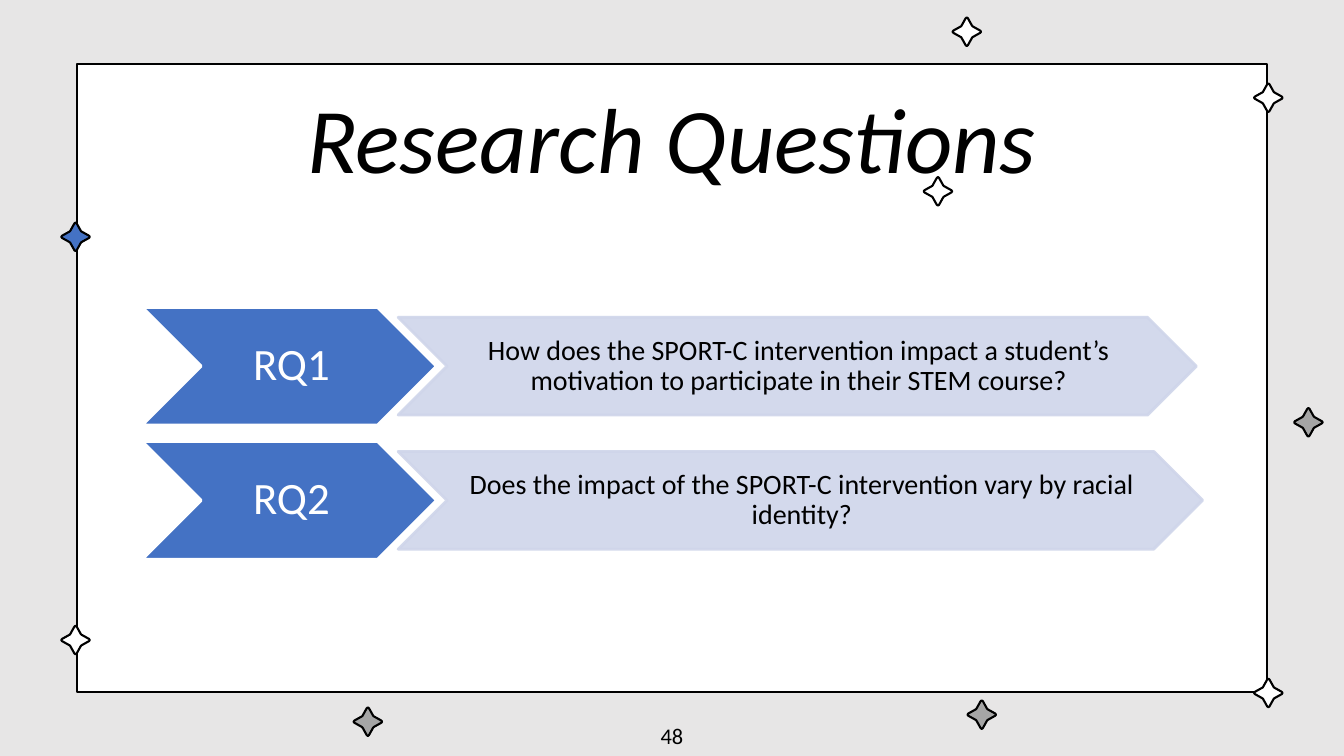
from lxml.etree import SubElement
from pptx import Presentation
from pptx.dml.color import RGBColor
from pptx.enum.shapes import MSO_SHAPE
from pptx.enum.text import MSO_ANCHOR, PP_ALIGN
from pptx.oxml.ns import qn
from pptx.util import Pt

BLACK = RGBColor(0x00, 0x00, 0x00)
WHITE = RGBColor(0xFF, 0xFF, 0xFF)
LIGHT_GREY = RGBColor(0xE7, 0xE6, 0xE6)
GREY = RGBColor(0xA5, 0xA5, 0xA5)
BLUE = RGBColor(0x44, 0x72, 0xC4)
PALE_BLUE = RGBColor(0xCF, 0xD5, 0xEA)

STAR_QUADRANT = [(0, -10.2), (0.8, -9.6), (3.8, -4.2), (4.2, -3.8), (9.6, -0.8)]
FRAME_STARS = [
    (934.6, 301.7, GREY), (54, 169.2, BLUE), (906, 495, WHITE),
    (906, 69.8, WHITE), (54, 457.2, WHITE), (690.6, 22.7, WHITE),
    (701.3, 510.5, GREY), (262.8, 515.5, GREY),
]
QUESTIONS = [
    ("RQ1", "How does the SPORT-C intervention impact a student’s "
            "motivation to participate in their STEM course?", 570.2),
    ("RQ2", "Does the impact of the SPORT-C intervention vary by racial "
            "identity?", 574.6),
]


def style_shape(shape, fill, line, width):
    """Give a shape a solid fill and outline without a shadow."""
    shape.shadow.inherit = False
    shape.fill.solid()
    shape.fill.fore_color.rgb = fill
    shape.line.color.rgb = line
    shape.line.width = Pt(width)


def write_text(shape, text, font_format, insets, line_spacing=1.0):
    """Write one centred paragraph into a shape or text box."""
    frame = shape.text_frame
    frame_format = {"word_wrap": True, "vertical_anchor": MSO_ANCHOR.MIDDLE}
    for side, inset in zip(("left", "top", "right", "bottom"), insets):
        frame_format[f"margin_{side}"] = Pt(inset)
    for name, value in frame_format.items():
        setattr(frame, name, value)
    paragraph = frame.paragraphs[0]
    paragraph.text = text
    paragraph.alignment = PP_ALIGN.CENTER
    paragraph.line_spacing = line_spacing
    paragraph.font.color.rgb = font_format["color"]
    for name, value in {"name": "Calibri", "size": Pt(font_format["size"]),
                        "italic": font_format.get("italic", False)}.items():
        setattr(paragraph.font, name, value)


def add_text_box(slide, box, text, font_format, insets):
    """Add a text box with one centred line."""
    text_box = slide.shapes.add_textbox(*map(Pt, box))
    write_text(text_box, text, font_format, insets)


def add_star(slide, center_x, center_y, fill):
    """Draw a four-pointed star around a centre by turning one quadrant."""
    points, quadrant = [], STAR_QUADRANT
    for _ in range(4):
        points += quadrant
        quadrant = [(-y, x) for x, y in quadrant]
    corners = [(Pt(center_x + x), Pt(center_y + y)) for x, y in points]
    builder = slide.shapes.build_freeform(*corners[0])
    builder.add_line_segments(corners[1:], close=True)
    style_shape(builder.convert_to_shape(), fill, BLACK, 1.5)


def add_frame(slide, box):
    """Draw the white panel and the stars scattered around it."""
    panel = slide.shapes.add_shape(MSO_SHAPE.RECTANGLE, *map(Pt, box))
    style_shape(panel, WHITE, BLACK, 1.5)
    for star in FRAME_STARS:
        add_star(slide, *star)


def add_chevron(slide, box, fill, line, text, font_format, insets):
    """Add a chevron that carries its own text."""
    chevron = slide.shapes.add_shape(MSO_SHAPE.CHEVRON, *map(Pt, box))
    style_shape(chevron, fill, line, 2)
    write_text(chevron, text, font_format, insets, 0.9)
    return chevron


def add_question(slide, box, label, question, question_width):
    """Place a label chevron with a translucent question chevron beside it."""
    left, top, width, height = box
    add_chevron(slide, box, BLUE, WHITE, label,
                {"size": 32, "color": WHITE}, (2.9, 1.4, 0, 1.4))
    question_box = (left + width - 27.4, top + 7.1, question_width, height - 14.2)
    chevron = add_chevron(slide, question_box, PALE_BLUE, PALE_BLUE, question,
                          {"size": 20, "color": BLACK}, (2, 0.9, 0, 0.9))
    for color in chevron.element.spPr.iter(qn("a:srgbClr")):
        SubElement(color, qn("a:alpha"), val="90000")


def add_questions(slide, box):
    """Stack the research questions at an even pitch."""
    left, top, width, height = box
    pitch = height / len(QUESTIONS)
    for row, question in enumerate(QUESTIONS):
        add_question(slide, (left, top + row * pitch, width, 84), *question)


def add_heading(slide, box):
    """Write the slide title and the star beneath it."""
    left, top, width, height = box
    add_star(slide, left + 526.7, top + height + 10, WHITE)
    add_text_box(slide, box, "Research Questions",
                 {"size": 66, "color": BLACK, "italic": True}, (9.4,) * 4)


def main():
    """Build the research questions slide."""
    presentation = Presentation()
    presentation.slide_width = Pt(960)
    presentation.slide_height = Pt(540)
    slide = presentation.slides.add_slide(presentation.slide_layouts[6])
    slide.background.fill.solid()
    slide.background.fill.fore_color.rgb = LIGHT_GREY
    add_frame(slide, (55.2, 45.6, 849.6, 448.6))
    add_questions(slide, (101.8, 219.6, 210, 191.6))
    add_heading(slide, (143.3, 68.4, 673.2, 58.3))
    add_text_box(slide, (372, 511.2, 216, 28.8), "48",
                 {"size": 16, "color": BLACK}, (7.2, 3.6, 7.2, 3.6))
    presentation.save("out.pptx")


if __name__ == "__main__":
    main()
